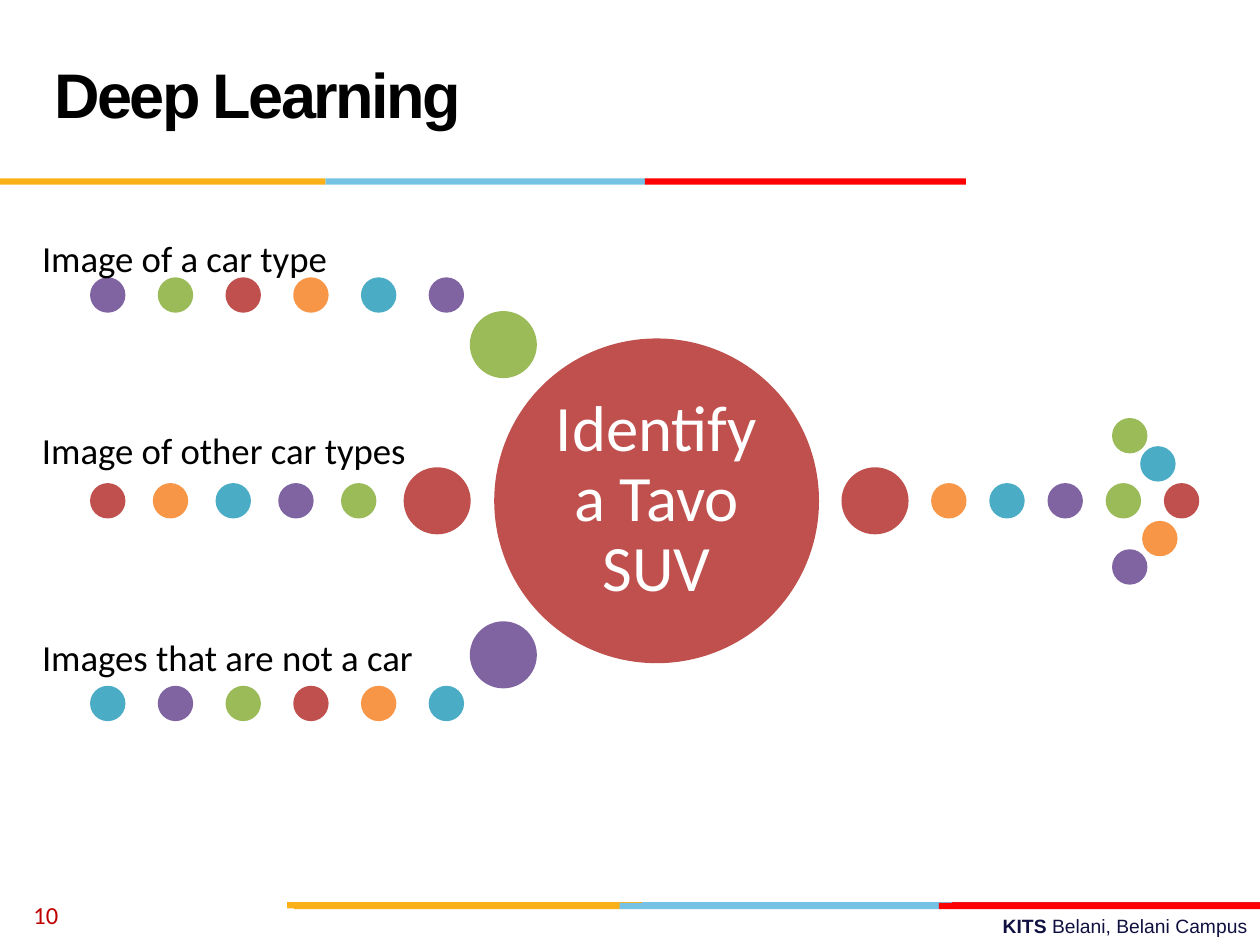
"""Build the Deep Learning slide: three bead trails feed a hub that points to one result."""
from dataclasses import dataclass

from pptx import Presentation
from pptx.dml.color import RGBColor
from pptx.enum import shapes, text
from pptx.util import Pt


@dataclass(frozen=True)
class Theme:
    black: str = "000000"
    white: str = "FFFFFF"
    navy: str = "101141"
    number: str = "C00000"
    gold: str = "FCB017"
    sky: str = "76C2E5"
    red: str = "FF0000"
    crimson: str = "E31C24"
    beads: tuple[str, ...] = ("C0504D", "F79646", "4BACC6", "8064A2", "9BBB59")
    heading_font: str = "Arial"
    body_font: str = "Calibri"
    title_size: float = 36
    hub_size: float = 37
    label_size: float = 21
    number_size: float = 14
    footer_size: float = 11


@dataclass(frozen=True)
class Box:
    left: float
    top: float
    width: float
    height: float

    def lengths(self) -> tuple[Pt, ...]:
        return tuple(Pt(value) for value in (self.left, self.top, self.width, self.height))


@dataclass(frozen=True)
class Segment:
    left: float
    right: float
    color: str


@dataclass(frozen=True)
class Band:
    top: float
    segments: tuple[Segment, ...]


@dataclass(frozen=True)
class Trail:
    left: float
    middle: float
    pitch: float
    count: int
    first_color: int


@dataclass(frozen=True)
class Source:
    label: str
    label_box: Box
    trail: Trail
    end: tuple[float, float]


THEME = Theme()
AXIS = 286.2
BEAD, LARGE_BEAD, HUB = 18.2, 36.3, 183.6
BAR_HEIGHT = 3.6

BANDS = (
    Band(515.5, (Segment(364, 547.5, THEME.sky), Segment(544, 720, THEME.crimson),
                 Segment(164, 367, THEME.gold))),
    Band(516, (Segment(354, 538, THEME.sky), Segment(168, 354, THEME.gold),
               Segment(536.5, 720, THEME.red))),
    Band(102, (Segment(186, 369, THEME.sky), Segment(0, 186, THEME.gold),
               Segment(368.5, 552, THEME.red))),
)
SOURCES = (
    Source("Image of a car type", Box(24, 114, 212.5, 46.5),
           Trail(61.6, 168.6, 38.7, 6, 3), (287.6, 196.9)),
    Source("Image of other car types", Box(24, 240.5, 240.5, 29.5),
           Trail(61.6, AXIS, 35.85, 5, 0), (249.8, AXIS)),
    Source("Images that are not a car", Box(24, 342, 212.5, 46.5),
           Trail(61.6, 402, 38.7, 6, 2), (287.6, 374.2)),
)
RESULT_START = (500, AXIS)
RESULT = Trail(542.2, AXIS, 33.25, 5, 1)
ARROWHEAD = ((645.6, 249, 4), (645.6, 324, 3), (661.7, 265.1, 2), (662.8, 307.8, 1))


def bead_color(index: int) -> str:
    return THEME.beads[index % len(THEME.beads)]


def apply(target, values: dict) -> None:
    for name, value in values.items():
        setattr(target, name, value)


def set_frame(frame, anchor, inset: float | None = None) -> None:
    values = {"word_wrap": True, "auto_size": text.MSO_AUTO_SIZE.NONE, "vertical_anchor": anchor}
    if inset is not None:
        sides = ("left", "top", "right", "bottom")
        values |= {f"margin_{side}": Pt(inset) for side in sides}
    apply(frame, values)


def add_run(paragraph, words: str, font: str, size: float, color: str, bold: bool = False):
    run = paragraph.add_run()
    run.text = words
    apply(run.font, {"name": font, "size": Pt(size), "bold": bold})
    run.font.color.rgb = RGBColor.from_string(color)
    return run


def add_text_box(slide, box: Box, anchor, inset: float | None = None):
    frame = slide.shapes.add_textbox(*box.lengths()).text_frame
    set_frame(frame, anchor, inset)
    return frame.paragraphs[0]


def add_filled(slide, kind, box: Box, color: str):
    shape = slide.shapes.add_shape(kind, *box.lengths())
    shape.shadow.inherit = False
    shape.fill.solid()
    shape.fill.fore_color.rgb = RGBColor.from_string(color)
    return shape


def add_circle(slide, x: float, y: float, diameter: float, color: str):
    box = Box(x - diameter / 2, y - diameter / 2, diameter, diameter)
    shape = add_filled(slide, shapes.MSO_SHAPE.OVAL, box, color)
    shape.line.width = Pt(2)
    shape.line.color.rgb = RGBColor.from_string(color)
    return shape


def add_band(slide, band: Band) -> None:
    for segment in band.segments:
        box = Box(segment.left, band.top, segment.right - segment.left, BAR_HEIGHT)
        add_filled(slide, shapes.MSO_SHAPE.RECTANGLE, box, segment.color).line.fill.background()


def add_trail(slide, trail: Trail) -> None:
    for step in range(trail.count):
        x = trail.left + step * trail.pitch
        add_circle(slide, x, trail.middle, BEAD, bead_color(trail.first_color + step))


def add_source(slide, source: Source) -> None:
    trail = source.trail
    add_trail(slide, trail)
    add_circle(slide, *source.end, LARGE_BEAD, bead_color(trail.first_color + trail.count))
    paragraph = add_text_box(slide, source.label_box, text.MSO_ANCHOR.BOTTOM, 0)
    paragraph.line_spacing = 0.9
    add_run(paragraph, source.label, THEME.body_font, THEME.label_size, THEME.black)


def add_hub(slide, words: str) -> None:
    frame = add_circle(slide, 375.2, AXIS, HUB, bead_color(0)).text_frame
    set_frame(frame, text.MSO_ANCHOR.MIDDLE, 3.6)
    paragraph = frame.paragraphs[0]
    apply(paragraph, {"alignment": text.PP_ALIGN.CENTER, "line_spacing": 0.9})
    add_run(paragraph, words, THEME.body_font, THEME.hub_size, THEME.white)


def add_title(slide, words: str) -> None:
    title = slide.shapes.title
    apply(title, dict(zip(("left", "top", "width", "height"), Box(24, 12, 672, 90).lengths())))
    set_frame(title.text_frame, text.MSO_ANCHOR.MIDDLE)
    paragraph = title.text_frame.paragraphs[0]
    apply(paragraph, {"alignment": text.PP_ALIGN.LEFT, "line_spacing": Pt(36)})
    run = add_run(paragraph, words, THEME.heading_font, THEME.title_size, THEME.black, True)
    run.font._element.set("spc", "-150")


def add_footer(slide) -> None:
    paragraph = add_text_box(slide, Box(257.5, 519, 462.5, 21), text.MSO_ANCHOR.TOP)
    paragraph.alignment = text.PP_ALIGN.RIGHT
    for words, bold in (("KITS ", True), ("Belani, Belani Campus", False)):
        add_run(paragraph, words, THEME.heading_font, THEME.footer_size, THEME.navy, bold)
    number = add_text_box(slide, Box(12, 508.5, 168, 28.5), text.MSO_ANCHOR.MIDDLE)
    add_run(number, "10", THEME.body_font, THEME.number_size, THEME.number)


def main() -> None:
    presentation = Presentation()
    apply(presentation, {"slide_width": Pt(720), "slide_height": Pt(540)})
    slide = presentation.slides.add_slide(presentation.slide_layouts[5])
    for band in BANDS:
        add_band(slide, band)
    add_title(slide, "Deep Learning")
    add_footer(slide)
    add_trail(slide, RESULT)
    add_circle(slide, *RESULT_START, LARGE_BEAD, bead_color(0))
    for x, y, color in ARROWHEAD:
        add_circle(slide, x, y, BEAD, bead_color(color))
    add_hub(slide, "Identify a Tavo SUV")
    for source in SOURCES:
        add_source(slide, source)
    presentation.save("out.pptx")


if __name__ == "__main__":
    main()
